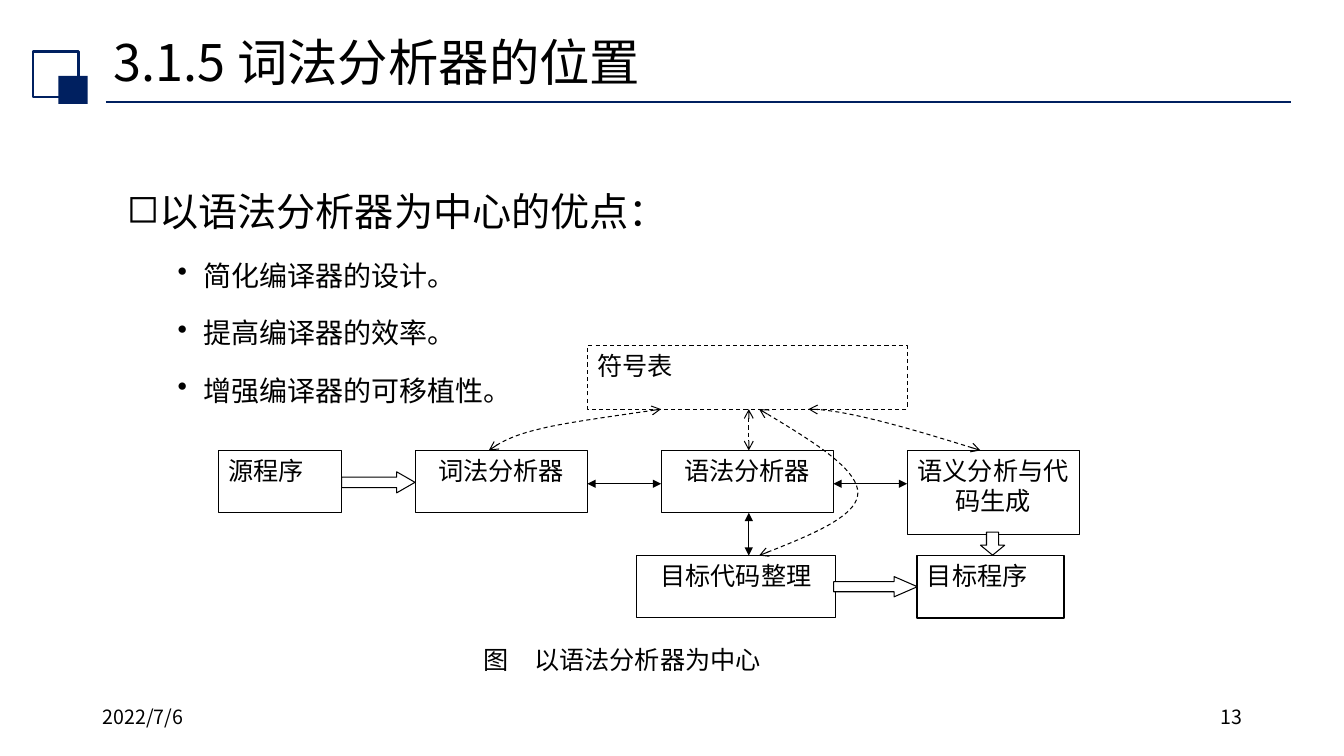
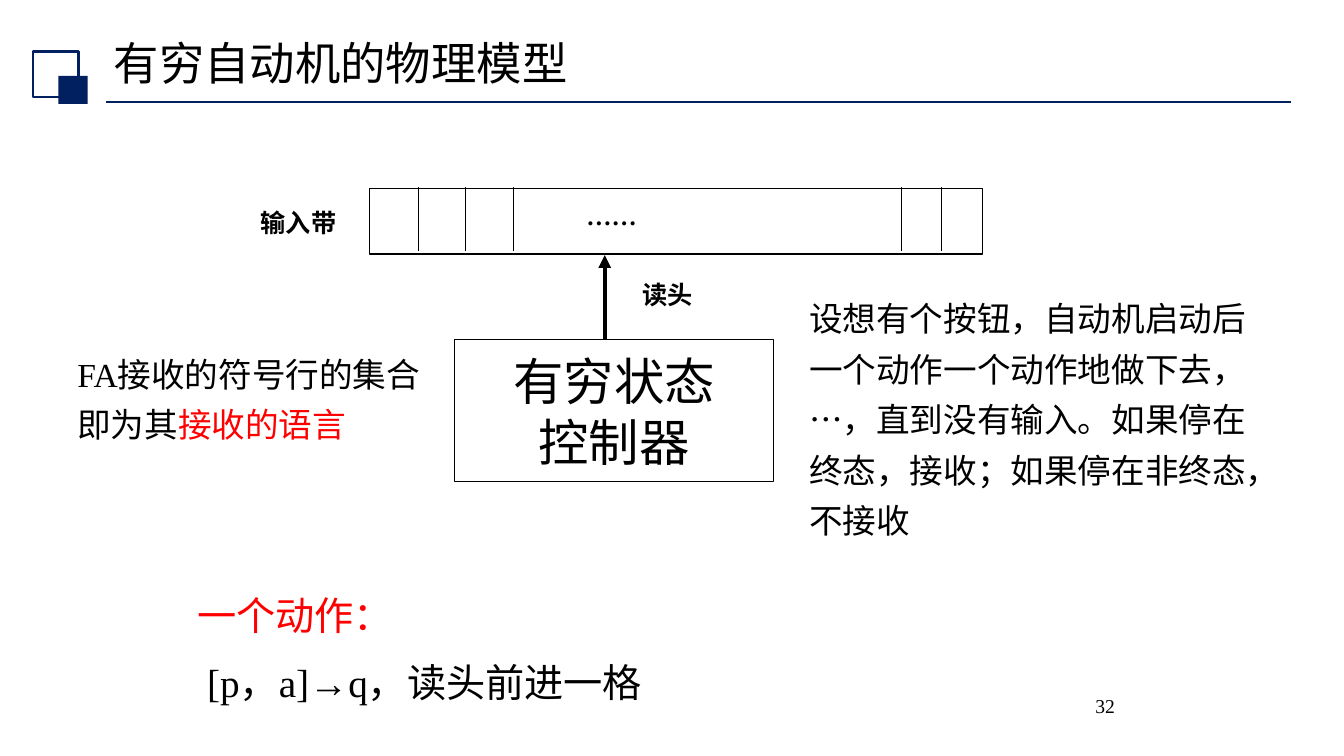
from dataclasses import dataclass
from typing import NamedTuple, Optional

from lxml import etree
from pptx import Presentation
from pptx.dml.color import RGBColor
from pptx.enum.dml import MSO_LINE
from pptx.enum.shapes import MSO_CONNECTOR, MSO_SHAPE
from pptx.enum.text import MSO_ANCHOR, PP_ALIGN
from pptx.oxml.ns import qn
from pptx.util import Cm, Pt

RECT, RIGHT_ARROW, DOWN_ARROW = MSO_SHAPE.RECTANGLE, MSO_SHAPE.RIGHT_ARROW, MSO_SHAPE.DOWN_ARROW
STRAIGHT = MSO_CONNECTOR.STRAIGHT
DASH = MSO_LINE.DASH
LEFT, CENTER, RIGHT = PP_ALIGN.LEFT, PP_ALIGN.CENTER, PP_ALIGN.RIGHT
TOP, MIDDLE, BOTTOM = MSO_ANCHOR.TOP, MSO_ANCHOR.MIDDLE, MSO_ANCHOR.BOTTOM


@dataclass(frozen=True)
class Theme:
    navy: RGBColor = RGBColor(0x00, 0x20, 0x60)
    black: RGBColor = RGBColor(0x00, 0x00, 0x00)
    white: RGBColor = RGBColor(0xFF, 0xFF, 0xFF)
    red: RGBColor = RGBColor(0xFF, 0x00, 0x00)
    sans: str = "Noto Sans CJK SC"
    serif: str = "Times New Roman"
    title: float = 36
    small_title: float = 32.4
    heading: float = 28
    body: float = 24
    bullet: float = 20
    label: float = 18
    footer: float = 14


THEME = Theme()


class Area(NamedTuple):
    """A rectangle in centimetres."""
    left: float
    top: float
    width: float
    height: float

    def emu(self):
        return [Cm(value) for value in self]


class Point(NamedTuple):
    x: float
    y: float


class Piece(NamedTuple):
    text: str
    color: RGBColor = THEME.black


@dataclass(frozen=True)
class Para:
    pieces: tuple[Piece, ...]
    size: float
    font: str = THEME.sans
    bold: bool = False
    align: PP_ALIGN = LEFT
    line_spacing: float = 1.0
    before: float = 0
    margin: float = 0
    bullet: str = ""


@dataclass(frozen=True)
class Stroke:
    color: RGBColor = THEME.black
    width: float = 0.75
    dashed: bool = False
    head: str = ""
    tail: str = ""


@dataclass(frozen=True)
class Stage:
    """A labelled box of the compiler diagram."""
    label: str
    area: Area
    stroke: Optional[Stroke] = Stroke()
    align: PP_ALIGN = CENTER


class BlockArrow(NamedTuple):
    kind: MSO_SHAPE
    area: Area
    head_ratio: float


class Link(NamedTuple):
    start: Point
    end: Point
    stroke: Stroke


THIN = Stroke()
BOX_EDGE = Stroke(width=1)
TWO_WAY = Stroke(head="triangle", tail="triangle")
TABLE_ACCESS = Stroke(dashed=True, head="arrow", tail="arrow")
HANGING = 0.64


def plain(text: str, size: float, **options) -> Para:
    return Para((Piece(text),), size, **options)


def apply_stroke(shape, stroke: Optional[Stroke]) -> None:
    if stroke is None:
        shape.line.fill.background()
        return
    shape.line.color.rgb = stroke.color
    shape.line.width = Pt(stroke.width)
    if stroke.dashed:
        shape.line.dash_style = DASH
    outline = shape.element.spPr.get_or_add_ln()
    for tag, kind in (("a:headEnd", stroke.head), ("a:tailEnd", stroke.tail)):
        if kind:
            etree.SubElement(outline, qn(tag), type=kind)


def write_paragraph(paragraph, para: Para) -> None:
    if para.margin:
        properties = paragraph._p.get_or_add_pPr()
        properties.set("marL", str(Cm(para.margin)))
        if para.bullet:
            properties.set("indent", str(-Cm(HANGING)))
            etree.SubElement(properties, qn("a:buChar"), char=para.bullet)
    paragraph.alignment = para.align
    paragraph.line_spacing = para.line_spacing
    paragraph.space_before = Pt(para.before)
    paragraph.text = para.pieces[0].text
    for piece in para.pieces[1:]:
        paragraph.add_run().text = piece.text
    for run, piece in zip(paragraph.runs, para.pieces):
        run.font.size = Pt(para.size)
        run.font.bold = para.bold
        run.font.color.rgb = piece.color
        run.font.name = para.font
        etree.SubElement(run._r.get_or_add_rPr(), qn("a:ea"), typeface=THEME.sans)


def write(shape, *paras: Para, anchor: MSO_ANCHOR = TOP) -> None:
    frame = shape.text_frame
    frame.word_wrap = True
    frame.vertical_anchor = anchor
    for index, para in enumerate(paras):
        write_paragraph(frame.add_paragraph() if index else frame.paragraphs[0], para)


def add_text(slide, area: Area, *paras: Para, anchor: MSO_ANCHOR = TOP) -> None:
    write(slide.shapes.add_textbox(*area.emu()), *paras, anchor=anchor)


def add_block(slide, area: Area, stroke: Optional[Stroke] = None,
              fill: Optional[RGBColor] = None, kind: MSO_SHAPE = RECT):
    block = slide.shapes.add_shape(kind, *area.emu())
    block.shadow.inherit = False
    if fill is None:
        block.fill.background()
    else:
        block.fill.solid()
        block.fill.fore_color.rgb = fill
    apply_stroke(block, stroke)
    return block


def add_link(slide, link: Link) -> None:
    ends = [Cm(value) for value in (*link.start, *link.end)]
    connector = slide.shapes.add_connector(STRAIGHT, *ends)
    apply_stroke(connector, link.stroke)
    etree.SubElement(connector.element.spPr, qn("a:effectLst"))


def bezier(controls: list[Point], steps: int = 20) -> list[Point]:
    """Sample a chain of cubic curves whose neighbours share an end point."""
    points = [controls[0]]
    for first in range(0, len(controls) - 1, 3):
        segment = controls[first:first + 4]
        for step in range(1, steps + 1):
            t = step / steps
            weights = ((1 - t) ** 3, 3 * t * (1 - t) ** 2, 3 * t * t * (1 - t), t ** 3)
            points.append(Point(sum(w * p.x for w, p in zip(weights, segment)),
                                sum(w * p.y for w, p in zip(weights, segment))))
    return points


def add_curve(slide, controls: list[Point], stroke: Stroke) -> None:
    start, *rest = [(Cm(p.x), Cm(p.y)) for p in bezier(controls)]
    builder = slide.shapes.build_freeform(*start)
    builder.add_line_segments(rest, close=False)
    curve = builder.convert_to_shape()
    curve.shadow.inherit = False
    curve.fill.background()
    apply_stroke(curve, stroke)


def new_slide(deck, title: Para, anchor: MSO_ANCHOR):
    """Add a blank slide with the shared emblem, rule and title."""
    slide = deck.slides.add_slide(deck.slide_layouts[6])
    add_link(slide, Link(Point(2.67, 2.57), Point(32.54, 2.57), Stroke(THEME.navy, 1.25)))
    add_block(slide, Area(0.84, 1.3, 1.14, 1.14), Stroke(THEME.navy, 1.5))
    add_block(slide, Area(1.47, 1.91, 0.74, 0.71), fill=THEME.navy)
    add_text(slide, Area(2.62, 0.86, 29.21, 1.55), title, anchor=anchor)
    return slide


def build_analyzer_slide(deck) -> None:
    slide = new_slide(deck, plain("3.1.5 词法分析器的位置", THEME.title, line_spacing=0.9), MIDDLE)
    add_text(slide, Area(2.34, 17.65, 7.62, 1.02), plain("2022/7/6", THEME.footer))
    add_text(slide, Area(23.93, 17.65, 7.62, 1.02), plain("13", THEME.footer, align=RIGHT))
    advantages = ("简化编译器的设计。", "提高编译器的效率。", "增强编译器的可移植性。")
    add_text(slide, Area(2.95, 4.01, 27.18, 11.46),
             plain("以语法分析器为中心的优点：", THEME.heading, line_spacing=1.5,
                   margin=HANGING, bullet="◻"),
             *(plain(advantage, THEME.bullet, line_spacing=1.5, before=5,
                     margin=3 * HANGING, bullet="•") for advantage in advantages))

    upper, lower, height, width = 11.35, 14.0, 1.57, 4.34
    lexer, parser, semantics = 10.46, 16.66, 22.86
    table_bottom, flow_y, parser_axis = 10.31, 12.19, 18.87
    stages = (
        Stage("目标程序", Area(23.11, lower, 3.71, height), BOX_EDGE, LEFT),
        Stage("词法分析器", Area(lexer, upper, width, height)),
        Stage("语法分析器", Area(parser, upper, width, height)),
        Stage("语义分析与代码生成", Area(semantics, upper, width, 2.11)),
        Stage("目标代码整理", Area(16.03, lower, 5.03, height)),
        Stage("图　以语法分析器为中心", Area(11.94, 16.1, 9.3, height), None, LEFT),
        Stage("源程序", Area(5.51, upper, 3.1, height), BOX_EDGE, LEFT),
        Stage("符号表", Area(14.81, 8.71, 8.05, 1.6), Stroke(dashed=True), LEFT),
    )
    for stage in stages:
        box = add_block(slide, stage.area, stage.stroke, THEME.white)
        write(box, plain(stage.label, THEME.label, align=stage.align))

    block_arrows = (
        BlockArrow(RIGHT_ARROW, Area(8.61, 11.89, 1.85, 0.53), 0.87),
        BlockArrow(RIGHT_ARROW, Area(21.01, 14.53, 2.11, 0.51), 1.15),
        BlockArrow(DOWN_ARROW, Area(24.71, 13.41, 0.61, 0.58), 0.43),
    )
    for arrow in block_arrows:
        block = add_block(slide, arrow.area, THIN, THEME.white, arrow.kind)
        block.adjustments[1] = arrow.head_ratio

    links = (
        Link(Point(lexer + width, flow_y), Point(parser, flow_y), TWO_WAY),
        Link(Point(parser + width, flow_y), Point(semantics, flow_y), TWO_WAY),
        Link(Point(parser_axis, upper + height), Point(parser_axis, lower), TWO_WAY),
        Link(Point(parser_axis, table_bottom), Point(parser_axis, upper), TABLE_ACCESS),
    )
    for link in links:
        add_link(slide, link)

    table_curves = (
        [Point(12.32, upper), Point(12.57, 11.18), Point(12.83, 11), Point(13.56, 10.82),
         Point(14.27, 10.64), Point(15.47, 10.49), Point(16.66, table_bottom)],
        [Point(24.71, upper), Point(23.01, 10.82), Point(21.31, table_bottom),
         Point(20.37, table_bottom)],
        [Point(19.13, lower), Point(20.37, 13.51), Point(21.62, 13.03), Point(21.62, 12.42),
         Point(21.62, 11.79), Point(20.37, 11.05), Point(19.13, table_bottom)],
    )
    for controls in table_curves:
        add_curve(slide, controls, TABLE_ACCESS)


def build_automaton_slide(deck) -> None:
    serif = THEME.serif
    slide = new_slide(deck, plain("有穷自动机的物理模型", THEME.small_title, font=serif,
                                  line_spacing=0.9), BOTTOM)
    add_block(slide, Area(9.32, 4.75, 15.44, 1.65), BOX_EDGE)
    controller = add_block(slide, Area(11.46, 8.56, 8.03, 3.58), BOX_EDGE)
    write(controller, *(plain(line, THEME.title, font=serif, align=CENTER)
                        for line in ("有穷状态", "控制器")), anchor=MIDDLE)
    add_link(slide, Link(Point(15.24, 8.56), Point(15.24, 6.43), Stroke(width=3, tail="triangle")))
    for cell_edge in (10.54, 11.73, 12.93, 22.73, 23.72):
        add_link(slide, Link(Point(cell_edge, 4.72), Point(cell_edge, 6.32), THIN))
    for label, left, top in (("输入带", 6.32, 5.11), ("读头", 15.93, 6.91), ("……", 14.53, 4.93)):
        add_text(slide, Area(left, top, 2.59, 1.02),
                 plain(label, THEME.label, font=serif, bold=True))

    add_text(slide, Area(20.14, 7.14, 11.68, 6.55),
             plain("设想有个按钮，自动机启动后一个动作一个动作地做下去，…，直到没有输入。"
                   "如果停在终态，接收；如果停在非终态，不接收",
                   THEME.body, font=serif, line_spacing=1.25))
    add_text(slide, Area(4.72, 14.78, 16, 3.23),
             Para((Piece("一个动作：", THEME.red),), THEME.heading, serif),
             plain("[p，a]→q，读头前进一格", THEME.heading, font=serif, before=14, margin=0.25))
    add_text(slide, Area(1.7, 8.53, 9.63, 2.69),
             Para((Piece("FA接收的符号行的集合即为其"), Piece("接收的语言", THEME.red)),
                  THEME.body, serif, line_spacing=1.25))
    add_text(slide, Area(22.43, 17.35, 5.92, 1.32),
             plain("32", THEME.footer, font=serif, align=RIGHT))


def main() -> None:
    deck = Presentation()
    deck.slide_width, deck.slide_height = Cm(33.87), Cm(19.05)
    build_analyzer_slide(deck)
    build_automaton_slide(deck)
    deck.save("out.pptx")


if __name__ == "__main__":
    main()
